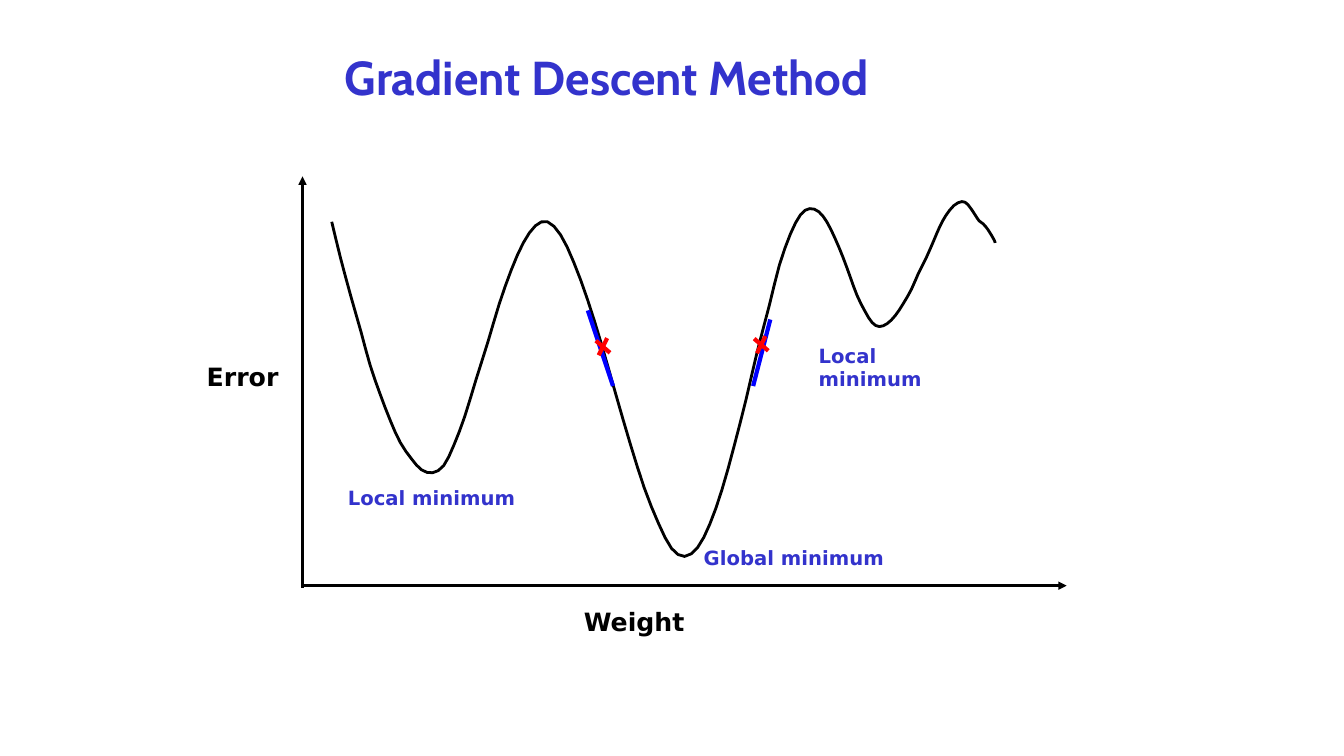
from dataclasses import dataclass

from lxml import etree
from pptx import Presentation
from pptx.dml.color import RGBColor
from pptx.enum.shapes import MSO_CONNECTOR
from pptx.enum.text import MSO_ANCHOR, PP_ALIGN
from pptx.oxml.ns import qn
from pptx.util import Emu, Inches, Pt

LEFT, CENTER = PP_ALIGN.LEFT, PP_ALIGN.CENTER
TOP = MSO_ANCHOR.TOP
STRAIGHT = MSO_CONNECTOR.STRAIGHT

COLORS = {"ink": "000000", "accent": "3333CC", "tangent": "0000FF", "cross": "FF0000"}
TITLE_FONT, LABEL_FONT = "Cabin", "DejaVu Sans"

# Grid: square cells, 75 rows high; points are (column, row)
SLIDE_WIDTH, SLIDE_HEIGHT = Inches(13.33), Inches(7.5)
CELL = SLIDE_HEIGHT / 75
Point = tuple[float, float]


@dataclass(frozen=True)
class Stroke:
    start: Point
    end: Point
    color: str
    width: float
    arrow: bool = False


@dataclass(frozen=True)
class Label:
    text: str
    column: float
    row: float
    columns: float
    rows: float
    size: int = 14
    color: str = "accent"
    align: PP_ALIGN = LEFT


@dataclass(frozen=True)
class Descent:
    tangent_start: Point
    tangent_end: Point
    center: Point


AXES = [
    Stroke((30, 58.3), (30, 17.5), "ink", 2, arrow=True),
    Stroke((30, 58.1), (105.8, 58.1), "ink", 2, arrow=True),
]

# Points the error curve passes through
CURVE = [
    (32.9, 22), (33.8, 25.7), (34.8, 29.4), (35.8, 32.9), (36.7, 36.2), (37.7, 39.1),
    (38.7, 41.7), (39.7, 43.9), (40.8, 45.5), (41.8, 46.6), (42.9, 46.9), (44, 46.2),
    (45, 44.2), (46.1, 41.3), (47.2, 37.7), (48.4, 33.9), (49.5, 30.2), (50.7, 26.8),
    (51.9, 24.1), (53.1, 22.4), (54.3, 22), (55.6, 23.3), (56.9, 26), (58.3, 29.8),
    (59.7, 34.3), (61.1, 39.2), (62.5, 44), (63.9, 48.4), (65.3, 51.9), (66.6, 54.4),
    (67.9, 55.2), (69.2, 54.3), (70.4, 52), (71.6, 48.6), (72.8, 44.3), (74, 39.6),
    (75.1, 34.9), (76.3, 30.3), (77.3, 26.3), (78.4, 23.2), (79.4, 21.3), (80.3, 20.7),
    (81.2, 21), (82, 22), (82.8, 23.6), (83.6, 25.5), (84.3, 27.4), (85, 29.3),
    (85.8, 30.9), (86.5, 32), (87.2, 32.4), (88, 32.1), (88.8, 31.3), (89.6, 30.1),
    (90.4, 28.7), (91.1, 27.1), (91.9, 25.5), (92.6, 23.9), (93.2, 22.5), (93.8, 21.4),
    (94.6, 20.4), (95.4, 20), (96, 20.3), (96.7, 21.3), (97.1, 21.9), (97.5, 22.2),
    (98, 22.8), (98.6, 23.8), (98.7, 24.1),
]

DESCENTS = [
    Descent((58.3, 30.8), (60.8, 38.3), (59.8, 34.4)),
    Descent((76.4, 31.7), (74.7, 38.3), (75.5, 34.2)),
]
CROSS_ARMS = [(0.42, -0.85), (0.7, 0.6)]

LABELS = [
    Label("Error", 20.5, 35.8, 8, 3, size=18, color="ink"),
    Label("Weight", 55.9, 60.2, 14, 3, size=18, color="ink", align=CENTER),
    Label("Local minimum", 34.5, 48.2, 19, 2.4),
    Label("Global minimum", 69.8, 54.2, 19, 2.4),
    Label("Local minimum", 81.2, 34.1, 12, 4.8),
]


def cells(count: float) -> Emu:
    return Emu(round(count * CELL))


def rgb(color: str) -> RGBColor:
    return RGBColor.from_string(COLORS[color])


def smooth(points: list[Point], steps: int = 2) -> list[Point]:
    """Catmull-Rom curve through the points."""
    padded = [points[0], *points, points[-1]]
    curve = []
    for a, b, c, d in zip(padded, padded[1:], padded[2:], padded[3:]):
        for step in range(steps):
            t = step / steps
            curve.append(tuple(
                q + t * (r - p) / 2
                + t**2 * (2 * p - 5 * q + 4 * r - s) / 2
                + t**3 * (3 * q - p - 3 * r + s) / 2
                for p, q, r, s in zip(a, b, c, d)
            ))
    return curve + [points[-1]]


def draw_curve(slide, points: list[Point]) -> None:
    vertices = [(cells(x), cells(y)) for x, y in smooth(points)]
    builder = slide.shapes.build_freeform(*vertices[0])
    builder.add_line_segments(vertices[1:], close=False)
    shape = builder.convert_to_shape()
    shape.shadow.inherit = False
    shape.fill.background()
    shape.line.color.rgb = rgb("ink")
    shape.line.width = Pt(2)


def draw_stroke(slide, stroke: Stroke) -> None:
    ends = [cells(value) for value in (*stroke.start, *stroke.end)]
    connector = slide.shapes.add_connector(STRAIGHT, *ends)
    connector.line.color.rgb = rgb(stroke.color)
    connector.line.width = Pt(stroke.width)
    properties = connector.element.spPr
    if stroke.arrow:
        etree.SubElement(properties.find(qn("a:ln")), qn("a:tailEnd"), type="triangle")
    etree.SubElement(properties, qn("a:effectLst"))


def draw_descent(slide, descent: Descent) -> None:
    draw_stroke(slide, Stroke(descent.tangent_start, descent.tangent_end, "tangent", 3))
    x, y = descent.center
    for dx, dy in CROSS_ARMS:
        draw_stroke(slide, Stroke((x - dx, y - dy), (x + dx, y + dy), "cross", 3))


def format_text(shape, text: str, font: str, size: int, color: str, align: PP_ALIGN) -> None:
    frame = shape.text_frame
    frame.text = text
    frame.word_wrap = True
    frame.vertical_anchor = TOP
    frame.margin_left = frame.margin_right = frame.margin_top = frame.margin_bottom = 0
    paragraph = frame.paragraphs[0]
    paragraph.alignment = align
    paragraph.font.name = font
    paragraph.font.size = Pt(size)
    paragraph.font.bold = True
    paragraph.font.color.rgb = rgb(color)


def draw_label(slide, label: Label) -> None:
    box = slide.shapes.add_textbox(
        cells(label.column), cells(label.row), cells(label.columns), cells(label.rows))
    format_text(box, label.text, LABEL_FONT, label.size, label.color, label.align)


def draw_title(slide) -> None:
    title = slide.shapes.title
    title.left, title.top = cells(24.5), cells(2.4)
    title.width, title.height = SLIDE_WIDTH - title.left, cells(8.1)
    format_text(title, "Gradient Descent Method", TITLE_FONT, 34, "accent", LEFT)
    title.text_frame.margin_left = cells(9.7)
    title.text_frame.margin_top = cells(2.4)
    title.text_frame.paragraphs[0].line_spacing = Pt(40.8)


def main() -> None:
    presentation = Presentation()
    presentation.slide_width, presentation.slide_height = SLIDE_WIDTH, SLIDE_HEIGHT
    slide = presentation.slides.add_slide(presentation.slide_layouts.get_by_name("Title Only"))

    draw_title(slide)
    # Error curve on its axes
    for axis in AXES:
        draw_stroke(slide, axis)
    draw_curve(slide, CURVE)
    # Tangents and crosses on the slopes
    for descent in DESCENTS:
        draw_descent(slide, descent)
    for label in LABELS:
        draw_label(slide, label)

    presentation.save("out.pptx")


if __name__ == "__main__":
    main()
